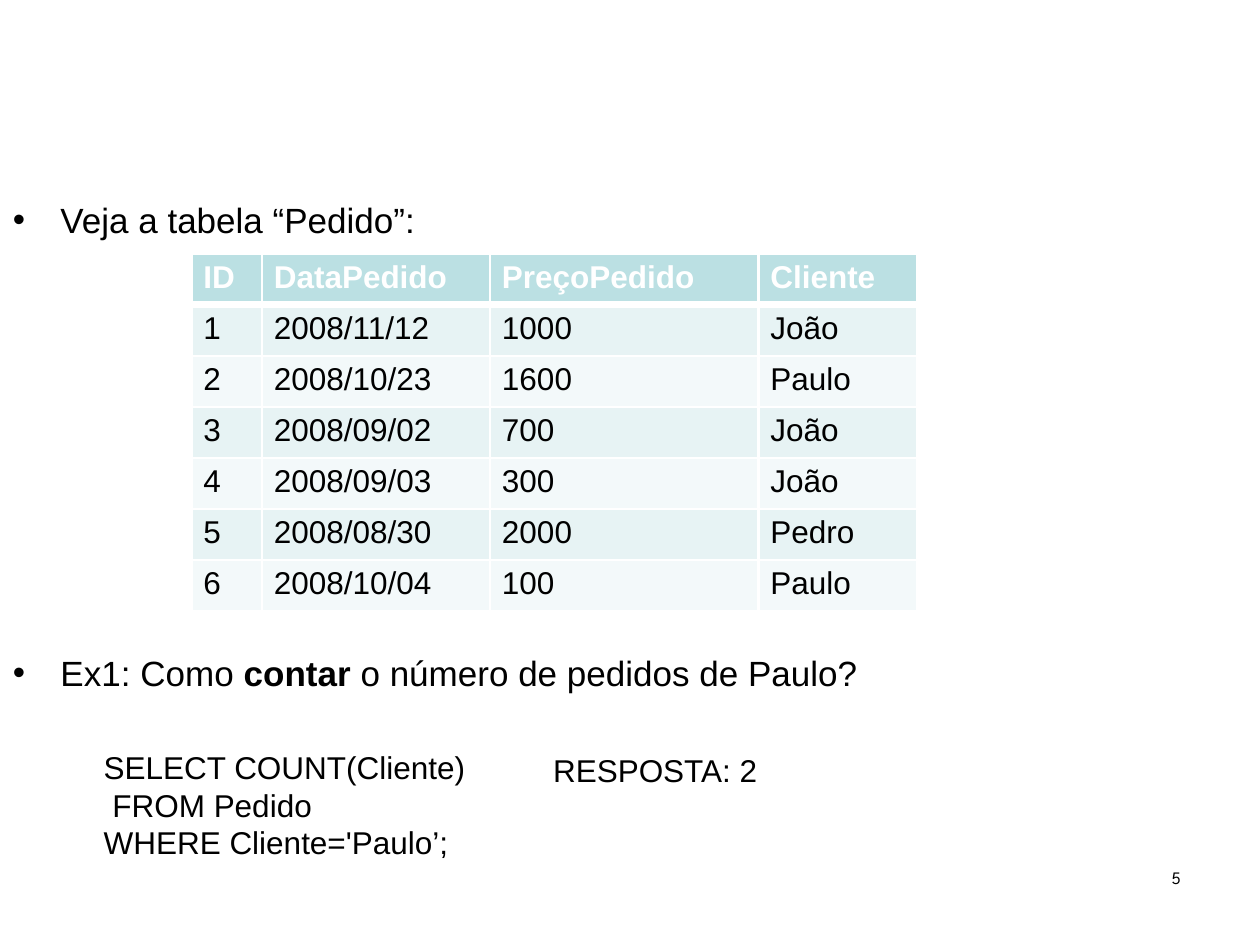
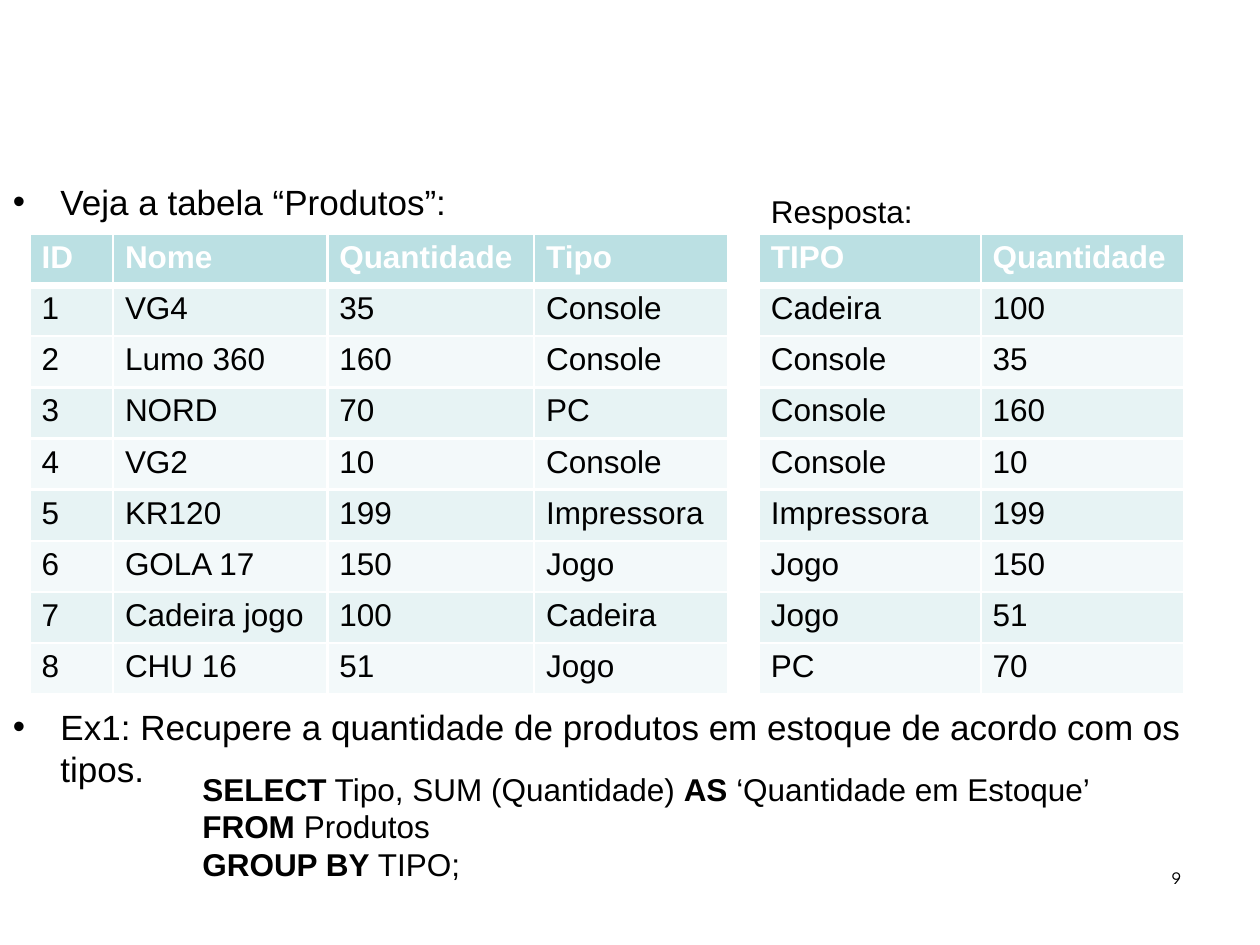
import pptx
import pptx.util
import pptx.dml.color
import pptx.oxml.ns
import lxml.etree
from pptx.util import Cm, Pt

COLORS = {
    "text": "000000",
    "header_text": "FFFFFF",
    "border": "FFFFFF",
    "header": "BBE0E3",
    "odd_row": "E7F3F4",
    "even_row": "F3F9FA",
}
FONT = "Arial"
NUMBER_FONT = "League Spartan"
ROW_HEIGHT = Cm(1.03)
THIN, THICK = Pt(1.5), Pt(4.25)
qn = pptx.oxml.ns.qn


def add_text(slide, left, top, width, height, lines, size=18, font=FONT,
             bullet=False, line_spacing=None):
    """Add a text box; parts of a line between | marks are bold."""
    box = slide.shapes.add_textbox(Cm(left), Cm(top), Cm(width), Cm(height))
    frame = box.text_frame
    frame.word_wrap = True
    frame.margin_left = frame.margin_right = frame.margin_bottom = 0
    frame.margin_top = Cm(0.06)
    for index, line in enumerate(lines):
        paragraph = frame.add_paragraph() if index else frame.paragraphs[0]
        if bullet:
            properties = paragraph._p.get_or_add_pPr()
            properties.set("marL", str(Cm(0.99)))
            properties.set("indent", str(-Cm(0.96)))
            lxml.etree.SubElement(properties, qn("a:buFont")).set("typeface", FONT)
            lxml.etree.SubElement(properties, qn("a:buChar")).set("char", "•")
        if line_spacing:
            paragraph.line_spacing = Pt(line_spacing)
        for part_index, part in enumerate(line.split("|")):
            if not part:
                continue
            run = paragraph.add_run()
            run.text = part
            run.font.name = font
            run.font.size = Pt(size)
            run.font.bold = part_index % 2 == 1
            run.font.color.rgb = pptx.dml.color.RGBColor.from_string(COLORS["text"])


def add_data_table(slide, left, top, column_widths, rows):
    """Add a banded table with white borders and a thick line under the header."""
    table = slide.shapes.add_table(
        len(rows), len(column_widths), Cm(left), Cm(top),
        Cm(sum(column_widths)), ROW_HEIGHT * len(rows)).table
    for column, width in zip(table.columns, column_widths):
        column.width = Cm(width)
    for row_index, values in enumerate(rows):
        table.rows[row_index].height = ROW_HEIGHT
        is_header = row_index == 0
        fill = "header" if is_header else ("even_row", "odd_row")[row_index % 2]
        borders = {"lnL": THIN, "lnR": THIN,
                   "lnT": THICK if row_index == 1 else THIN,
                   "lnB": THICK if is_header else THIN}
        for column_index, value in enumerate(values):
            cell = table.cell(row_index, column_index)
            cell.margin_left = Cm(0.24)
            cell.margin_top = Cm(0.12)
            cell.margin_right = cell.margin_bottom = 0
            cell_properties = cell._tc.get_or_add_tcPr()
            for side, width in borders.items():
                line = lxml.etree.SubElement(cell_properties, qn("a:" + side), w=str(width))
                line_fill = lxml.etree.SubElement(line, qn("a:solidFill"))
                lxml.etree.SubElement(line_fill, qn("a:srgbClr"), val=COLORS["border"])
            cell.fill.solid()
            cell.fill.fore_color.rgb = pptx.dml.color.RGBColor.from_string(COLORS[fill])
            cell.text_frame.text = value
            font = cell.text_frame.paragraphs[0].runs[0].font
            font.name = FONT
            font.size = Pt(18)
            font.bold = is_header
            font.color.rgb = pptx.dml.color.RGBColor.from_string(
                COLORS["header_text" if is_header else "text"])


presentation = pptx.Presentation()
presentation.slide_width = Cm(25.4)
presentation.slide_height = Cm(19.05)

# Slides with their numbers
slides = []
for number in ("5", "9"):
    slide = presentation.slides.add_slide(presentation.slide_layouts[6])
    add_text(slide, 23.62, 17.42, 0.5, 0.48, [number], size=10, font=NUMBER_FONT)
    slides.append(slide)
orders_slide, products_slide = slides

# Orders: table
add_text(orders_slide, 0.23, 3.94, 9, 0.91, ["Veja a tabela “Pedido”:"],
         size=20, bullet=True)
add_data_table(orders_slide, 3.86, 5.11, [1.42, 4.6, 5.41, 3.2], [
    ("ID", "DataPedido", "PreçoPedido", "Cliente"),
    ("1", "2008/11/12", "1000", "João"),
    ("2", "2008/10/23", "1600", "Paulo"),
    ("3", "2008/09/02", "700", "João"),
    ("4", "2008/09/03", "300", "João"),
    ("5", "2008/08/30", "2000", "Pedro"),
    ("6", "2008/10/04", "100", "Paulo"),
])

# Orders: exercise, query and answer
add_text(orders_slide, 0.23, 13.08, 18, 0.91,
         ["Ex1: Como |contar| o número de pedidos de Paulo?"], size=20, bullet=True)
add_text(orders_slide, 2.09, 15.04, 8, 2.34,
         ["SELECT COUNT(Cliente)", " FROM Pedido", "WHERE Cliente='Paulo’;"],
         line_spacing=21.3)
add_text(orders_slide, 11.15, 15.09, 5, 0.84, ["RESPOSTA: 2"])

# Products: table
add_text(products_slide, 0.23, 3.58, 10, 0.91, ["Veja a tabela “Produtos”:"],
         size=20, bullet=True)
add_data_table(products_slide, 0.6, 4.72, [1.68, 4.32, 4.17, 3.91], [
    ("ID", "Nome", "Quantidade", "Tipo"),
    ("1", "VG4", "35", "Console"),
    ("2", "Lumo 360", "160", "Console"),
    ("3", "NORD", "70", "PC"),
    ("4", "VG2", "10", "Console"),
    ("5", "KR120", "199", "Impressora"),
    ("6", "GOLA 17", "150", "Jogo"),
    ("7", "Cadeira jogo", "100", "Cadeira"),
    ("8", "CHU 16", "51", "Jogo"),
])

# Products: answer table
add_text(products_slide, 15.54, 3.81, 4, 0.84, ["Resposta:"])
add_data_table(products_slide, 15.3, 4.72, [4.47, 4.11], [
    ("TIPO", "Quantidade"),
    ("Cadeira", "100"),
    ("Console", "35"),
    ("Console", "160"),
    ("Console", "10"),
    ("Impressora", "199"),
    ("Jogo", "150"),
    ("Jogo", "51"),
    ("PC", "70"),
])

# Products: exercise and query
add_text(products_slide, 0.23, 14.17, 24.2, 1.75,
         ["Ex1: Recupere a quantidade de produtos em estoque de acordo com os tipos."],
         size=20, bullet=True)
add_text(products_slide, 4.08, 15.47, 19, 2.34,
         ["|SELECT| Tipo, SUM (Quantidade) |AS| ‘Quantidade em Estoque’",
          "|FROM| Produtos", "|GROUP BY| TIPO;"], line_spacing=21.4)

presentation.save("out.pptx")
